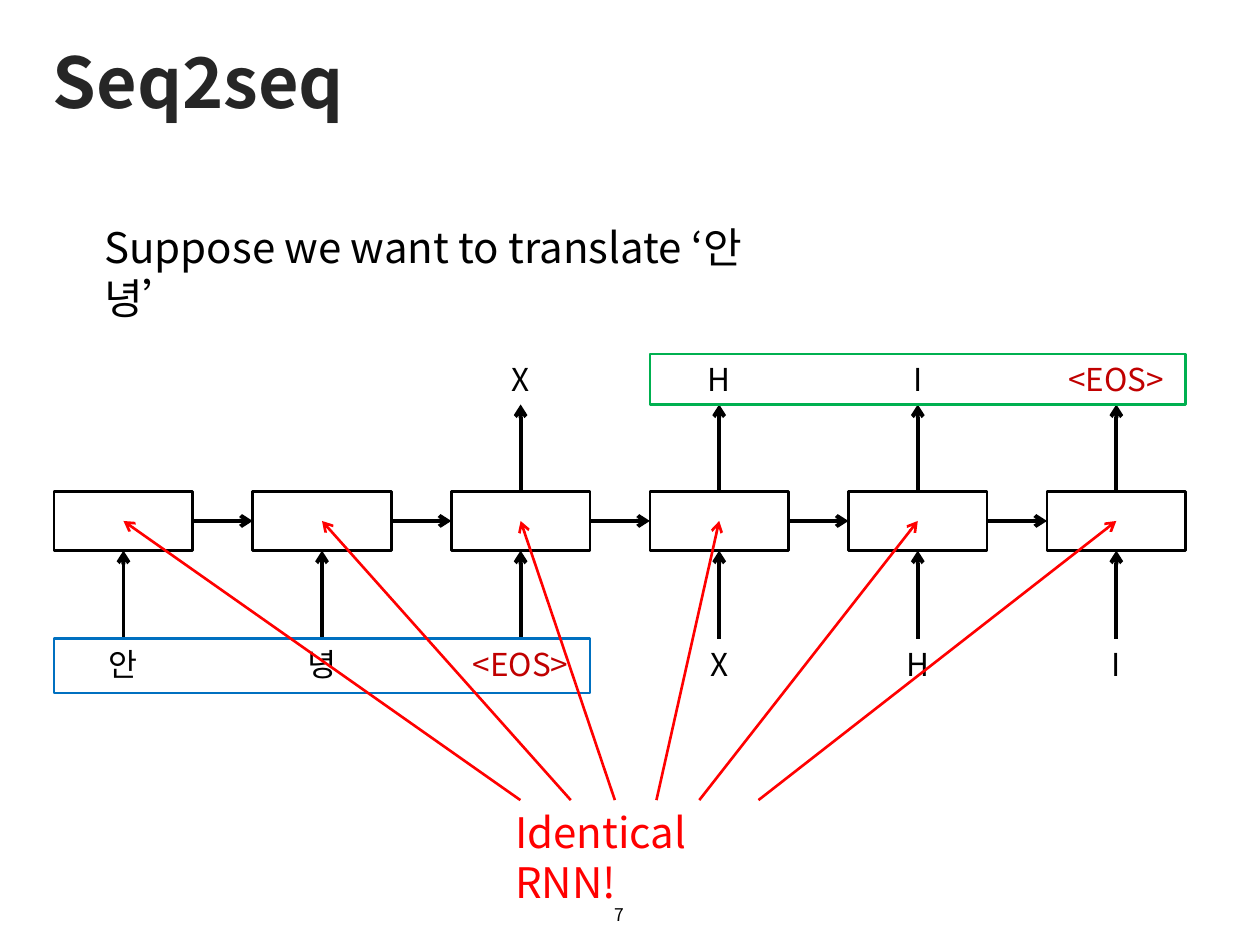
from lxml import etree
from pptx import Presentation
from pptx.dml.color import RGBColor
from pptx.enum.shapes import MSO_CONNECTOR, MSO_SHAPE
from pptx.enum.text import MSO_ANCHOR, MSO_AUTO_SIZE, PP_ALIGN
from pptx.oxml.ns import qn
from pptx.util import Inches, Pt

STRAIGHT, RECT = MSO_CONNECTOR.STRAIGHT, MSO_SHAPE.RECTANGLE
TOP, MIDDLE = MSO_ANCHOR.TOP, MSO_ANCHOR.MIDDLE
LEFT, CENTER = PP_ALIGN.LEFT, PP_ALIGN.CENTER
NO_AUTOFIT = MSO_AUTO_SIZE.NONE

BLACK = RGBColor(0x00, 0x00, 0x00)
CHARCOAL = RGBColor(0x26, 0x26, 0x26)
DARK_RED = RGBColor(0xC0, 0x00, 0x00)
RED = RGBColor(0xFF, 0x00, 0x00)
BLUE = RGBColor(0x00, 0x70, 0xC0)
GREEN = RGBColor(0x00, 0xB0, 0x50)


class SlideBuilder:
    """Holds the slide and its font, and draws each kind of element."""

    font = "Noto Sans CJK KR"

    def __init__(self, slide):
        """Keep the slide to draw on."""
        self.slide = slide

    def fill_text(self, sp, text, size, color, align, anchor, bold=False):
        """Put one styled run into a shape."""
        tf = sp.text_frame
        tf.word_wrap = True
        tf.auto_size = NO_AUTOFIT
        tf.vertical_anchor = anchor
        p = tf.paragraphs[0]
        p.alignment = align
        r = p.add_run()
        r.text = text
        r.font.name = self.font
        r.font.size = Pt(size)
        r.font.bold = bold
        r.font.color.rgb = color
        ea = etree.SubElement(r.font._element, qn("a:ea"))
        ea.set("typeface", self.font)

    def title(self, text, x, y, w, h):
        """Place and fill the title placeholder."""
        sp = self.slide.shapes.title
        sp.left, sp.top = Inches(x), Inches(y)
        sp.width, sp.height = Inches(w), Inches(h)
        self.fill_text(sp, text, 40, CHARCOAL, LEFT, MIDDLE, bold=True)

    def text(self, text, x, y, w, h, size=18, color=BLACK, align=CENTER,
             anchor=TOP):
        """Add a text box."""
        sp = self.slide.shapes.add_textbox(
            Inches(x), Inches(y), Inches(w), Inches(h))
        self.fill_text(sp, text, size, color, align, anchor)

    def frame(self, x, y, w, h, color=BLACK):
        """Add an unfilled rectangle."""
        sp = self.slide.shapes.add_shape(
            RECT, Inches(x), Inches(y), Inches(w), Inches(h))
        sp.shadow.inherit = False
        sp.fill.background()
        sp.line.color.rgb = color
        sp.line.width = Pt(1.5)

    def arrow(self, x1, y1, x2, y2, color=BLACK, width=2.25):
        """Add a straight line with an open arrowhead at its end."""
        cxn = self.slide.shapes.add_connector(
            STRAIGHT, Inches(x1), Inches(y1), Inches(x2), Inches(y2))
        cxn.line.color.rgb = color
        cxn.line.width = Pt(width)
        ln = cxn._element.spPr.find(qn("a:ln"))
        etree.SubElement(ln, qn("a:tailEnd")).set("type", "arrow")
        etree.SubElement(cxn._element.spPr, qn("a:effectLst"))


CELL_W, CELL_H, CELL_TOP = 1.1, 0.47, 3.9
CELL_MID = CELL_TOP + CELL_H / 2
FIRST_X, LAST_X = 0.43, 8.31
INPUT_TOP, OUTPUT_TOP, LABEL_H = 5.07, 2.81, 0.4
NOTE_TOP = 6.35

INPUTS = ["안", "녕", "<EOS>", "X", "H", "I"]
OUTPUTS = [None, None, "X", "H", "I", "<EOS>"]
NOTE_STARTS = [4.13, 4.53, 4.88, 5.21, 5.55, 6.02]
PITCH = (LAST_X - FIRST_X) / (len(INPUTS) - 1)


def token(s, text, x, y):
    """Label a cell's input or output, with the end marker in dark red."""
    color = DARK_RED if text == "<EOS>" else BLACK
    s.text(text, x, y, CELL_W, LABEL_H, color=color)


def network(s):
    """Draw the unrolled cells with their inputs and outputs."""
    for i, (source, target) in enumerate(zip(INPUTS, OUTPUTS)):
        x = FIRST_X + i * PITCH
        mid = x + CELL_W / 2
        s.frame(x, CELL_TOP, CELL_W, CELL_H)
        s.arrow(mid, INPUT_TOP, mid, CELL_TOP + CELL_H)
        token(s, source, x, INPUT_TOP)
        if target:
            s.arrow(mid, CELL_TOP, mid, OUTPUT_TOP + LABEL_H)
            token(s, target, x, OUTPUT_TOP)
        if i < len(INPUTS) - 1:
            s.arrow(x + CELL_W, CELL_MID, x + PITCH, CELL_MID)


def sequences(s):
    """Frame the source and the translated sequence."""
    width = 2 * PITCH + CELL_W
    s.frame(FIRST_X, INPUT_TOP, width, 0.43, BLUE)
    s.frame(FIRST_X + 3 * PITCH, OUTPUT_TOP, width, LABEL_H, GREEN)


def identical_note(s):
    """Point from the note to every cell."""
    for i, start in enumerate(NOTE_STARTS):
        mid = FIRST_X + i * PITCH + CELL_W / 2
        s.arrow(start, NOTE_TOP, mid, CELL_MID, RED, 1.5)
    s.text("Identical RNN!", 3.99, NOTE_TOP, 2.42, 0.5, 24, RED, LEFT)


def main():
    """Build and save the slide."""
    prs = Presentation()
    prs.slide_width, prs.slide_height = Inches(10), Inches(7.5)
    s = SlideBuilder(prs.slides.add_slide(prs.slide_layouts[5]))
    s.title("Seq2seq", 0.32, 0.28, 9.38, 0.72)
    s.text("7", 3.75, 7.06, 2.33, 0.4, size=10, anchor=MIDDLE)
    network(s)
    s.text("Suppose we want to translate ‘안녕’", 0.73, 1.71, 5.71, 0.5,
           size=24, align=LEFT)
    sequences(s)
    identical_note(s)
    prs.save("out.pptx")


main()
